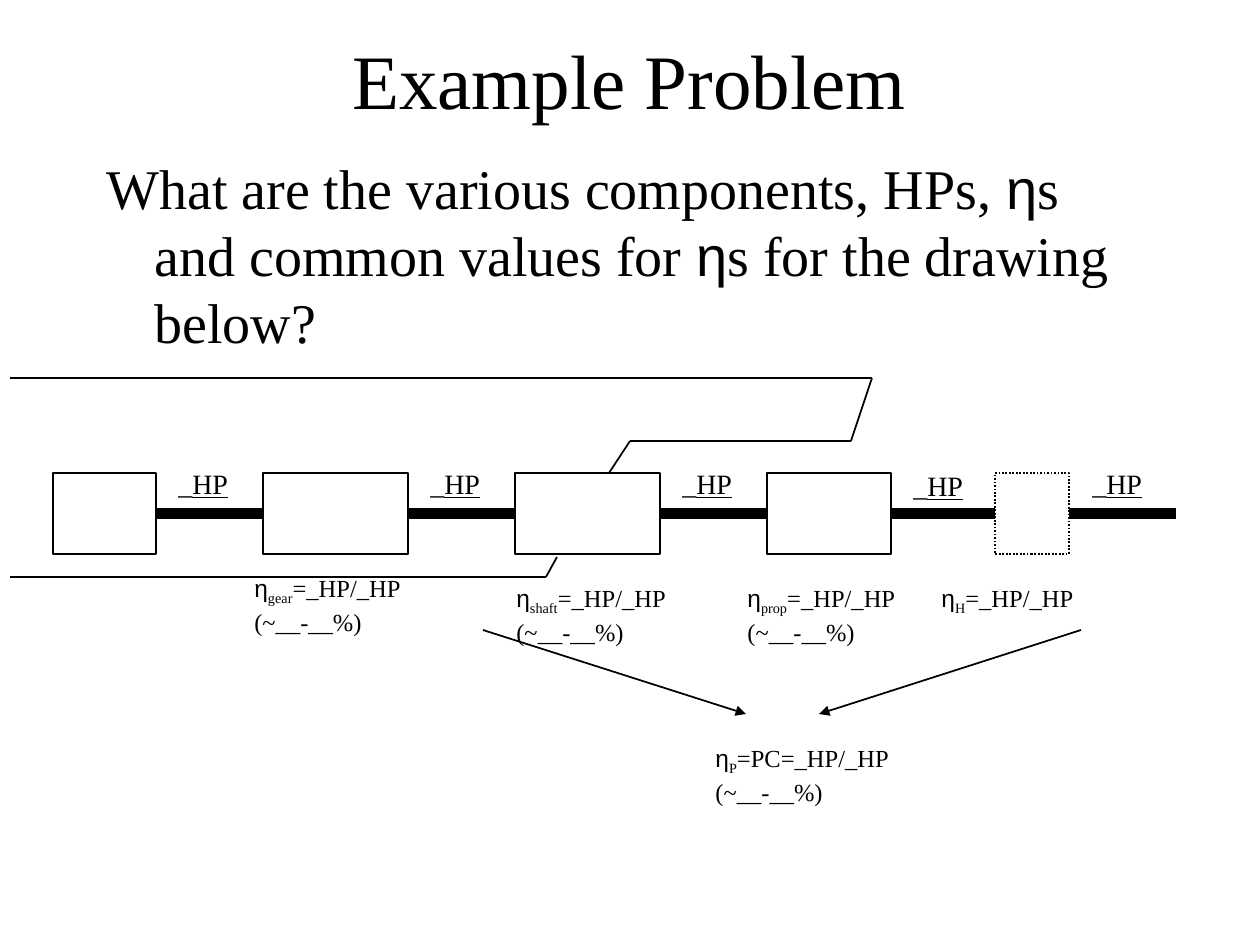
from collections import namedtuple
from dataclasses import dataclass

from lxml import etree
from pptx import Presentation
from pptx import util as u
from pptx.dml.color import RGBColor
from pptx.enum import dml, shapes, text
from pptx.oxml.ns import qn

Box = namedtuple("Box", "x y w h")


@dataclass(frozen=True)
class Theme:
    ink: RGBColor = RGBColor(0, 0, 0)
    face: str = "Times New Roman"
    greek: str = "Arial"
    title: int = 44
    body: int = 32
    power: int = 16
    ratio: int = 14
    thin: int = 1
    thick: int = 6


T = Theme()


def px(n):
    return u.Emu(round(n * 914400 / 126))


def note(slide, box, size, paras, wrap=False):
    """Add a text box; each paragraph is a list of (words, style) runs."""
    shape = slide.shapes.add_textbox(*map(px, box))
    frame = shape.text_frame
    frame.word_wrap = wrap
    if not wrap:
        frame.auto_size = text.MSO_AUTO_SIZE.SHAPE_TO_FIT_TEXT
    for i, parts in enumerate(paras):
        para = frame.add_paragraph() if i else frame.paragraphs[0]
        para.font.name = T.face
        para.font.size = u.Pt(size)
        para.font.color.rgb = T.ink
        for words, style in parts:
            run = para.add_run()
            run.text = words
            if style == "greek":
                run.font.name = T.greek
            elif style == "under":
                run.font.underline = True
            elif style == "sub":
                run.font._element.set("baseline", "-25000")
    return frame


def line(slide, start, end, width=T.thin, arrow=False):
    wire = slide.shapes.add_connector(
        shapes.MSO_CONNECTOR.STRAIGHT, *map(px, (*start, *end)))
    wire.line.color.rgb = T.ink
    wire.line.width = u.Pt(width)
    if arrow:
        tip = etree.SubElement(wire.line._get_or_add_ln(), qn("a:tailEnd"))
        tip.set("type", "triangle")
    etree.SubElement(wire._element.spPr, qn("a:effectLst"))
    return wire


def title(slide, box):
    frame = note(slide, box, T.title, [[("Example Problem", "")]], wrap=True)
    frame.vertical_anchor = text.MSO_ANCHOR.MIDDLE
    frame.paragraphs[0].alignment = text.PP_ALIGN.CENTER


def question(slide, box):
    eta = ("η", "greek")
    frame = note(slide, box, T.body, [[
        ("What are the various components, HPs, ", ""), eta,
        ("s and common values for ", ""), eta,
        ("s for the drawing below?", "")]], wrap=True)
    props = frame.paragraphs[0]._p.get_or_add_pPr()
    hang = px(48)
    props.set("marL", str(hang))
    props.set("indent", str(-hang))


def train(slide, box):
    """Draw the component boxes, the shafts joining them and their powers."""
    parts = []
    for x, w in ((0, 103), (210, 145), (462, 145), (714, 124), (942, 74)):
        part = slide.shapes.add_shape(
            shapes.MSO_SHAPE.RECTANGLE,
            *map(px, (box.x + x, box.y, w, box.h)))
        part.shadow.inherit = False
        part.fill.background()
        part.line.color.rgb = T.ink
        part.line.width = u.Pt(T.thin)
        parts.append(part)
    parts[-1].line.dash_style = dml.MSO_LINE.ROUND_DOT

    mid = box.y + box.h / 2
    end = (box.x + box.w, mid)
    for left, right in zip(parts, parts[1:] + [None]):
        shaft = line(slide, (box.x, mid), end, T.thick)
        shaft.begin_connect(left, 3)
        if right:
            shaft.end_connect(right, 1)

    for x, y in ((113, -13), (365, -13), (617, -13), (848, -11), (1027, -13)):
        note(slide, Box(box.x + x, box.y + y, 78, 45), T.power,
             [[("_", ""), ("HP", "under")]])


def hull(slide, box):
    """Draw the ship's outline as an upper and a lower run of lines."""
    upper = ((0, 0), (862, 0), (841, 63), (620, 63), (599, 95))
    lower = ((547, 179), (536, 199), (0, 199))
    for edge in (upper, lower):
        spots = [(box.x + x, box.y + y) for x, y in edge]
        for start, end in zip(spots, spots[1:]):
            line(slide, start, end)


def ratios(slide, box):
    """Write the efficiencies and lead them to the propulsive one."""
    labels = (
        (0, 0, 175, "gear", "=_HP/_HP", True),
        (262, 10, 178, "shaft", "=_HP/_HP", True),
        (493, 10, 176, "prop", "=_HP/_HP", True),
        (687, 10, 159, "H", "=_HP/_HP", False),
        (461, 170, 200, "P", "=PC=_HP/_HP", True),
    )
    for x, y, w, sub, rest, span in labels:
        paras = [[("η", "greek"), (sub, "sub"), (rest, "")]]
        if span:
            paras.append([("(~__-__%)", "")])
        note(slide, Box(box.x + x, box.y + y, w, 71 if span else 42),
             T.ratio, paras)
    for start, end in ((241, 504), (839, 577)):
        line(slide, (box.x + start, box.y + 63),
             (box.x + end, box.y + 147), arrow=True)


def main():
    deck = Presentation()
    deck.slide_width, deck.slide_height = px(1260), px(945)
    slide = deck.slides.add_slide(deck.slide_layouts[6])
    title(slide, Box(94, 0, 1071, 158))
    question(slide, Box(94, 147, 1071, 567))
    train(slide, Box(53, 473, 1123, 81))
    ratios(slide, Box(242, 567, 846, 241))
    hull(slide, Box(10, 378, 862, 199))
    deck.save("out.pptx")


if __name__ == "__main__":
    main()
